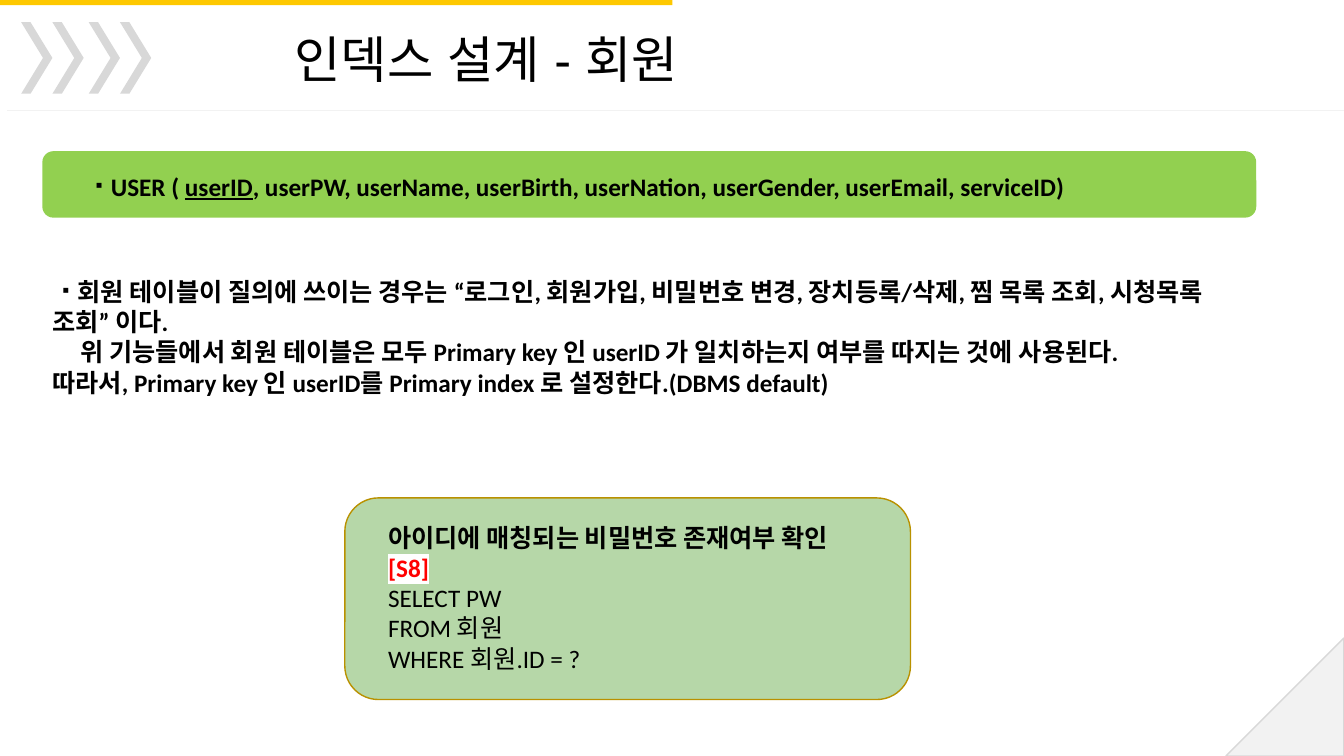
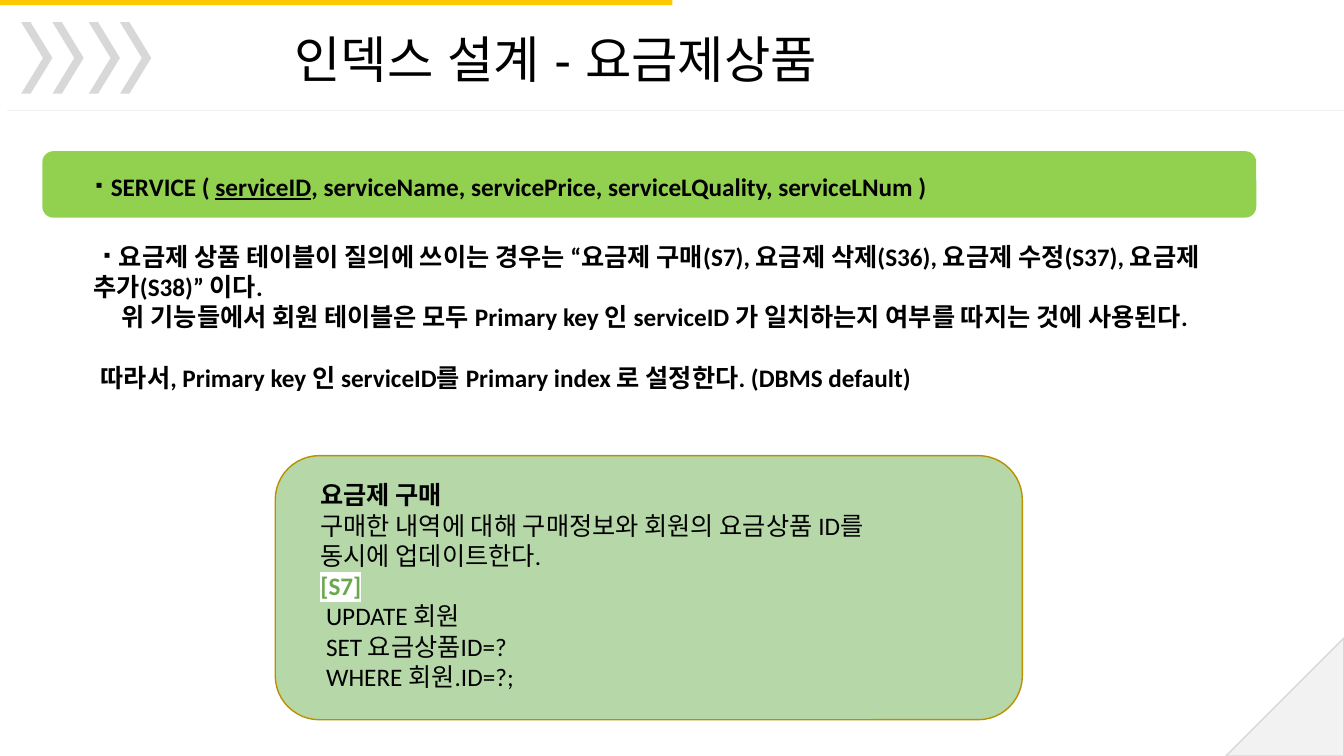
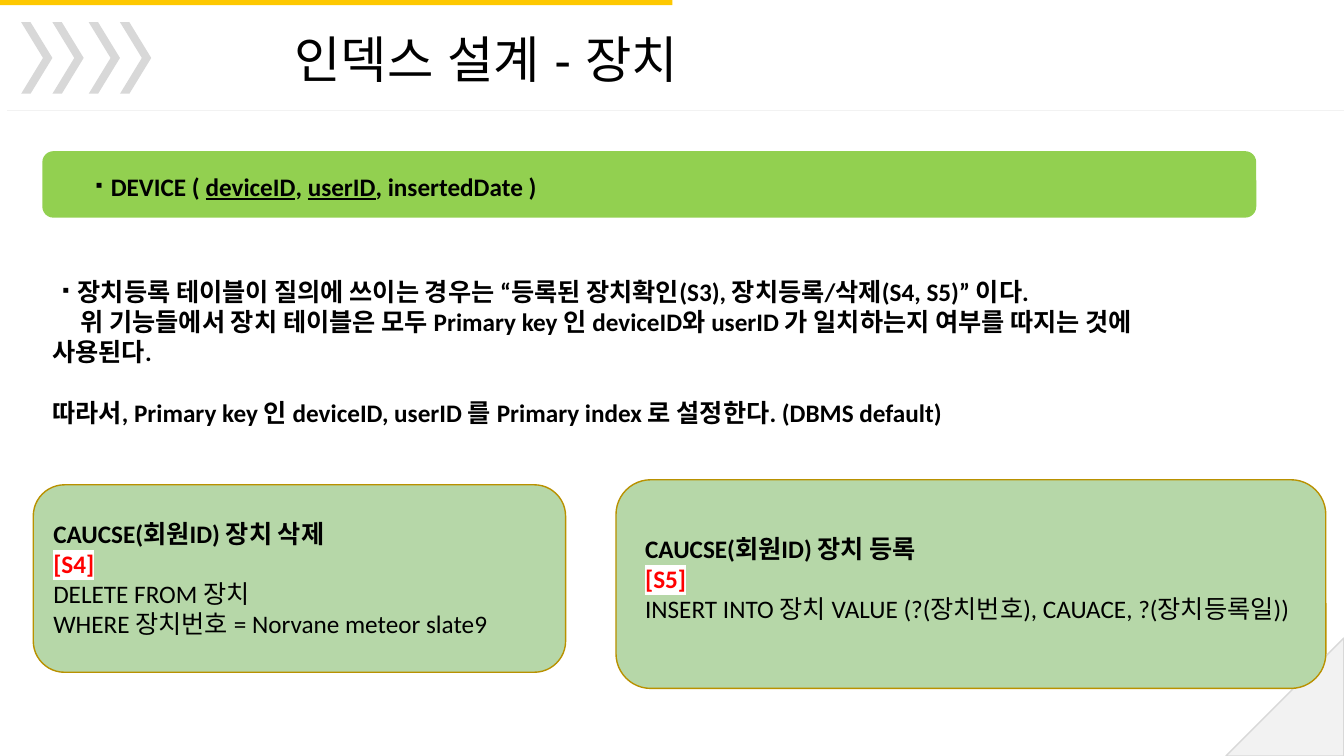
from lxml.etree import SubElement
from pptx import Presentation
from pptx.dml.color import RGBColor
from pptx.enum.shapes import MSO_CONNECTOR, MSO_SHAPE
from pptx.enum.text import MSO_ANCHOR, MSO_AUTO_SIZE, PP_ALIGN
from pptx.oxml.ns import qn
from pptx.util import Inches, Pt

YELLOW = RGBColor(0xFE, 0xC8, 0x00)
GRAY = RGBColor(0xD8, 0xD8, 0xD8)
PALE_GRAY = RGBColor(0xF2, 0xF2, 0xF2)
LIME = RGBColor(0x92, 0xD0, 0x50)
SAGE = RGBColor(0xB6, 0xD7, 0xA8)
GOLD = RGBColor(0xB9, 0x91, 0x00)
RED = RGBColor(0xFF, 0x00, 0x00)
GREEN = RGBColor(0x6A, 0xA8, 0x4F)
BLACK = RGBColor(0x00, 0x00, 0x00)

PAGES = [
    {
        "title": "인덱스 설계 - 회원",
        "schema": "⠐ USER ( |userID|, userPW, userName, userBirth, userNation, userGender, userEmail, serviceID)",
        "body_at": (0.42, 2.64, 11.62, 1.6),
        "body": [
            ("⠐ 회원 테이블이 질의에 쓰이는 경우는 “로그인, 회원가입, 비밀번호 변경, 장치등록/삭제, 찜 목록 조회, 시청목록 조회” 이다.", 0, 0),
            ("위 기능들에서 회원 테이블은 모두 Primary key 인 userID 가 일치하는지 여부를 따지는 것에 사용된다.", 0.28, 0),
            ("따라서, Primary key 인 userID를 Primary index 로 설정한다.(DBMS default)", 0, 0),
        ],
        "queries": [
            ((3.42, 4.94, 5.61, 2), (3.75, 5.13, 4.95, 1.62), RED, [
                "아이디에 매칭되는 비밀번호 존재여부 확인",
                "[S8]",
                "SELECT PW",
                "FROM 회원",
                "WHERE 회원.ID = ?",
            ]),
        ],
    },
    {
        "title": "인덱스 설계 - 요금제상품",
        "schema": "⠐ SERVICE ( |serviceID|, serviceName, servicePrice, serviceLQuality, serviceLNum )",
        "body_at": (0.83, 2.29, 11.62, 2.35),
        "body": [
            ("⠐ 요금제 상품 테이블이 질의에 쓰이는 경우는 “요금제 구매(S7), 요금제 삭제(S36), 요금제 수정(S37), 요금제 추가(S38)” 이다.", 0, 0),
            ("위 기능들에서 회원 테이블은 모두 Primary key 인 serviceID 가 일치하는지 여부를 따지는 것에 사용된다.", 0.28, 0),
            ("따라서, Primary key 인 serviceID를 Primary index 로 설정한다. (DBMS default)", 0.07, 22),
        ],
        "queries": [
            ((2.73, 4.52, 7.41, 2.62), (3.08, 4.71, 6.24, 2.22), GREEN, [
                "요금제 구매",
                "구매한 내역에 대해 구매정보와 회원의 요금상품 ID를 동시에 업데이트한다.",
                "[S7]",
                " UPDATE 회원",
                " SET 요금상품ID=?",
                " WHERE 회원.ID=?;",
            ]),
        ],
    },
    {
        "title": "인덱스 설계 - 장치",
        "schema": "⠐ DEVICE ( |deviceID|, |userID|, insertedDate )",
        "body_at": (0.42, 2.64, 11.62, 1.81),
        "body": [
            ("⠐ 장치등록 테이블이 질의에 쓰이는 경우는 “등록된 장치확인(S3), 장치등록/삭제(S4, S5)” 이다.", 0, 0),
            ("위 기능들에서 장치 테이블은 모두 Primary key 인 deviceID와 userID 가 일치하는지 여부를 따지는 것에 사용된다.", 0.28, 0),
            ("따라서, Primary key 인 deviceID, userID 를 Primary index 로 설정한다. (DBMS default)", 0, 22),
        ],
        "queries": [
            ((0.33, 4.81, 5.28, 1.86), (0.43, 5.09, 5.08, 1.31), RED, [
                "CAUCSE(회원ID) 장치 삭제",
                "[S4]",
                "DELETE FROM 장치",
                "WHERE 장치번호 = Norvane meteor slate9",
            ]),
            ((6.11, 4.76, 7.04, 2.07), (6.3, 5.24, 6.84, 1.01), RED, [
                "CAUCSE(회원ID) 장치 등록",
                "[S5]",
                "INSERT INTO 장치 VALUE (?(장치번호), CAUACE, ?(장치등록일))",
            ]),
        ],
    },
]


def add_block(page, kind, place, fill, line=None):
    block = page.shapes.add_shape(kind, *map(Inches, place))
    block.shadow.inherit = False
    block.fill.solid()
    block.fill.fore_color.rgb = fill
    if line is None:
        block.line.fill.background()
    else:
        block.line.color.rgb = line
        block.line.width = Pt(1)
    return block


def add_paragraphs(page, place, margin, texts):
    box = page.shapes.add_textbox(*map(Inches, place))
    frame = box.text_frame
    frame.word_wrap = True
    frame.margin_top = frame.margin_bottom = Inches(margin)
    for number, text in enumerate(texts):
        para = frame.paragraphs[0] if number == 0 else frame.add_paragraph()
        for position, piece in enumerate(text.split("|")):
            span = para.add_run()
            span.text = piece
            if position % 2:
                span.font.underline = True
        para.font.name = "Calibri"
        para.font.size = Pt(18)
        para.font.bold = True
        para.font.color.rgb = BLACK
        SubElement(para._p.pPr.find(qn("a:defRPr")), qn("a:ea")).set("typeface", "Calibri")
    return frame.paragraphs


deck = Presentation()
deck.slide_width = Inches(13.33)
deck.slide_height = Inches(7.5)
layout = deck.slide_layouts.get_by_name("Title Only")
pages = [deck.slides.add_slide(layout) for _ in PAGES]

first = pages[0]
corner = add_block(first, MSO_SHAPE.RIGHT_TRIANGLE, (12.16, 6.33, 1.17, 1.17), PALE_GRAY, GRAY)
corner.element.spPr.find(qn("a:xfrm")).set("flipH", "1")
decorations = [corner, add_block(first, MSO_SHAPE.RECTANGLE, (0, 0, 6.67, 0.05), YELLOW)]
for left in (0.21, 0.52, 0.88, 1.19):
    chevron = add_block(first, MSO_SHAPE.CHEVRON, (left, 0.22, 0.31, 0.71), GRAY)
    chevron.adjustments[0] = 0.7
    decorations.append(chevron)
rule = first.shapes.add_connector(MSO_CONNECTOR.STRAIGHT, Inches(0.07), Inches(1.1), Inches(13.33), Inches(1.1))
rule.line.color.rgb = PALE_GRAY
rule.line.width = Pt(0.75)
SubElement(rule.element.spPr, qn("a:effectLst"))
decorations.append(rule)
for number, decoration in enumerate(decorations):
    decoration.element.xpath(".//p:cNvPr")[0].set("id", str(100 + number))
    layout.shapes.element.insert(2 + number, decoration.element)

for page, content in zip(pages, PAGES):
    title = page.shapes.title
    title.left, title.top, title.width, title.height = map(Inches, (2.82, 0.22, 6.4, 0.71))
    title.text_frame.text = content["title"]
    title.text_frame.auto_size = MSO_AUTO_SIZE.NONE
    title.text_frame.vertical_anchor = MSO_ANCHOR.MIDDLE
    para = title.text_frame.paragraphs[0]
    para.alignment = PP_ALIGN.LEFT
    para.font.name = "Arial"
    para.font.size = Pt(36)
    para.font.color.rgb = BLACK
    SubElement(para._p.pPr.find(qn("a:defRPr")), qn("a:ea")).set("typeface", "Arial")

    add_block(page, MSO_SHAPE.ROUNDED_RECTANGLE, (0.42, 1.5, 12.04, 0.66), LIME)
    add_paragraphs(page, (0.75, 1.6, 11.7, 0.51), 0.1, [content["schema"]])

    body = add_paragraphs(page, content["body_at"], 0.1, [text for text, _, _ in content["body"]])
    for para, (_, indent, gap) in zip(body, content["body"]):
        if indent:
            para._p.get_or_add_pPr().set("indent", str(Inches(indent)))
        if gap:
            para.space_before = Pt(gap)

    for card_at, text_at, tag_color, lines in content["queries"]:
        add_block(page, MSO_SHAPE.ROUNDED_RECTANGLE, card_at, SAGE, GOLD)
        for number, para in enumerate(add_paragraphs(page, text_at, 0.05, lines)):
            if para.text.startswith("["):
                span = para.runs[0]
                span.font.color.rgb = tag_color
                highlight = SubElement(span._r.get_or_add_rPr(), qn("a:highlight"))
                SubElement(highlight, qn("a:srgbClr")).set("val", "FFFFFF")
            elif number > 0:
                para.font.bold = False

deck.save("out.pptx")
